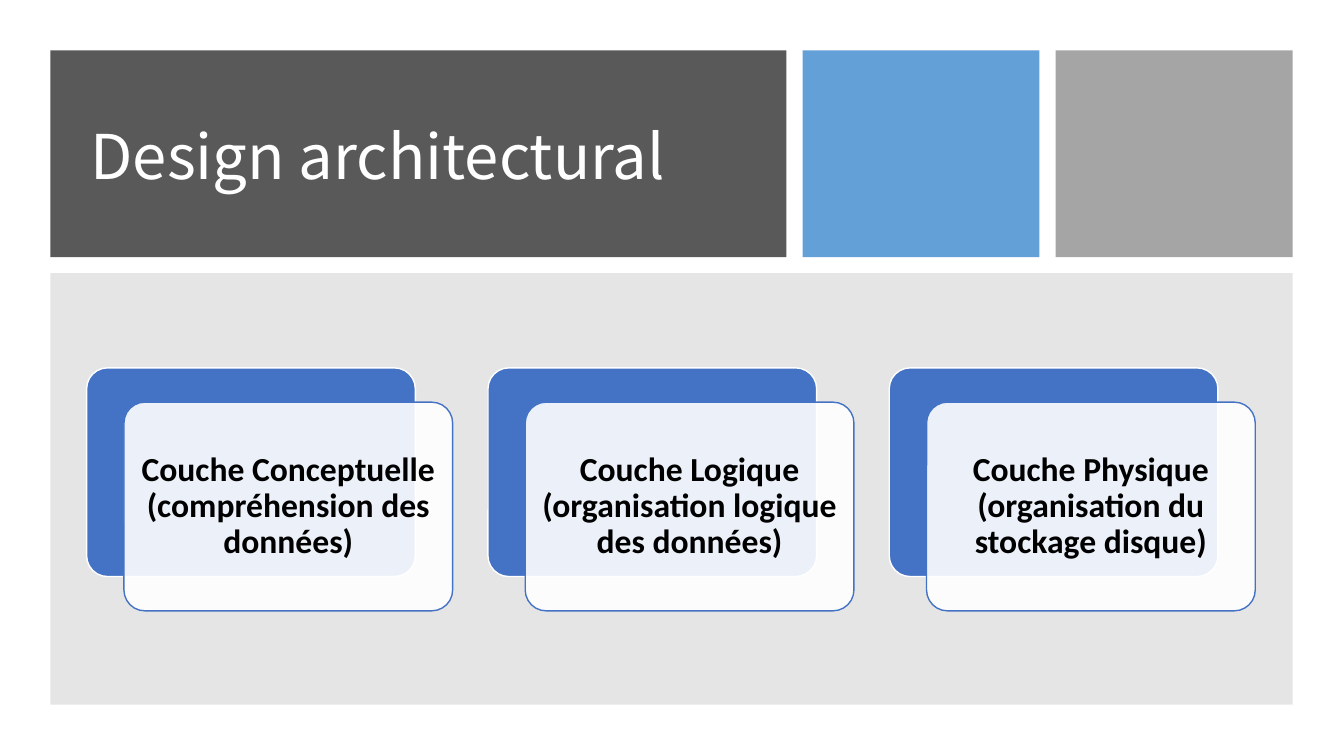
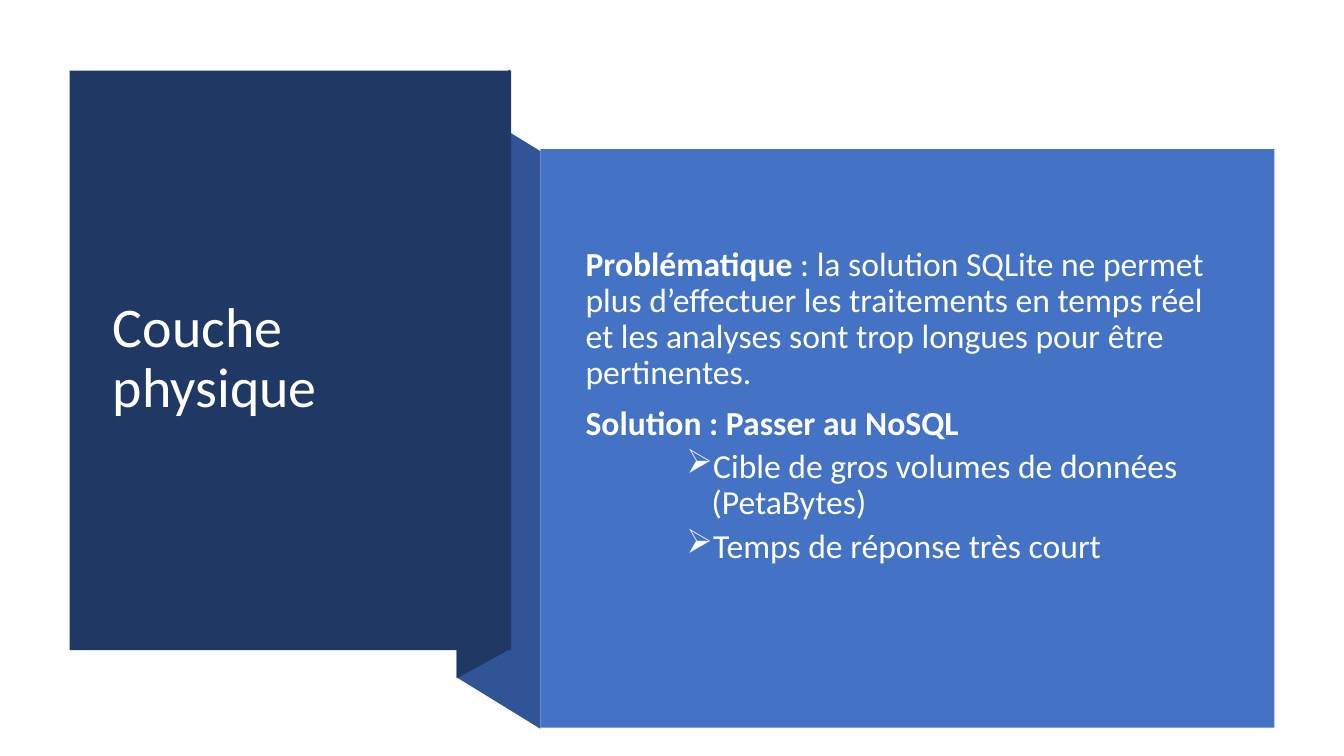
import pptx
import pptx.dml.color
import pptx.enum.shapes
import pptx.enum.text
import pptx.oxml.ns
import pptx.util
from lxml import etree

SHAPES = pptx.enum.shapes.MSO_SHAPE
ALIGN = pptx.enum.text.PP_ALIGN
PX = 9144

WHITE = "FFFFFF"
BODY_WHITE = "FEFFFF"
BLACK = "000000"
CHARCOAL = "595959"
SKY = "5B9BD5"
SILVER = "A5A5A5"
GRAY = "808080"
BLUE = "4472C4"
FOLD_BLUE = "2F5597"
NAVY = "203864"


def px(length):
    return pptx.util.Emu(length * PX)


def rgb(color):
    return pptx.dml.color.RGBColor.from_string(color)


def add_child(parent, tag, **attributes):
    return etree.SubElement(parent, pptx.oxml.ns.qn(tag), attributes)


class Designer:
    font = "Calibri"
    body_size = 24
    line_spacing = 0.9

    def __init__(self, width, height):
        self.deck = pptx.Presentation()
        self.deck.slide_width = px(width)
        self.deck.slide_height = px(height)
        self.slide = None

    def new_slide(self):
        self.slide = self.deck.slides.add_slide(self.deck.slide_layouts[6])

    def paint(self, shape, fill, opacity=100, line=None):
        shape.shadow.inherit = False
        shape.fill.solid()
        shape.fill.fore_color.rgb = rgb(fill)
        if opacity < 100:
            color = shape.element.spPr.find(
                "/".join(map(pptx.oxml.ns.qn, ("a:solidFill", "a:srgbClr"))))
            add_child(color, "a:alpha", val=str(opacity * 1000))
        if line:
            shape.line.color.rgb = rgb(line)
            shape.line.width = pptx.util.Pt(1)
        else:
            shape.line.fill.background()
        return shape

    def block(self, left, top, width, height, fill, opacity=100):
        shape = self.slide.shapes.add_shape(
            SHAPES.RECTANGLE, px(left), px(top), px(width), px(height))
        return self.paint(shape, fill, opacity)

    def card(self, left, top, width, height, fill, line, opacity=100):
        shape = self.slide.shapes.add_shape(
            SHAPES.ROUNDED_RECTANGLE, px(left), px(top), px(width), px(height))
        shape.adjustments[0] = 0.1
        return self.paint(shape, fill, opacity, line)

    def polygon(self, points, fill):
        builder = self.slide.shapes.build_freeform(*points[0], scale=PX)
        builder.add_line_segments(points[1:], close=True)
        return self.paint(builder.convert_to_shape(), fill)

    def text_box(self, left, top, width, height):
        box = self.slide.shapes.add_textbox(px(left), px(top), px(width), px(height))
        return self.prepare(box)

    def prepare(self, shape):
        frame = shape.text_frame
        frame.word_wrap = True
        frame.vertical_anchor = pptx.enum.text.MSO_ANCHOR.MIDDLE
        return frame

    def add_text(self, para, spans, color, size=body_size, font=font,
                 align=ALIGN.LEFT, before=0):
        para.alignment = align
        para.line_spacing = self.line_spacing
        para.space_before = pptx.util.Pt(before)
        for text, bold in spans:
            span = para.add_run()
            span.text = text
            span.font.name = font
            span.font.size = pptx.util.Pt(size)
            span.font.bold = bold
            span.font.color.rgb = rgb(color)

    def title(self, left, top, width, height, text, size, font=font):
        frame = self.text_box(left, top, width, height)
        self.add_text(frame.paragraphs[0], [(text, False)], WHITE, size, font)

    def bullet(self, para, char, left, hanging):
        para.level = 2
        properties = para._p.get_or_add_pPr()
        properties.set("marL", str(px(left)))
        properties.set("indent", str(-px(hanging)))
        add_child(properties, "a:buChar", char=char)


def architecture_slide(design):
    design.new_slide()
    design.block(50, 50, 730, 205, CHARCOAL)
    design.title(80, 80, 666, 156, "Design architectural", 44, "Noto Sans CJK SC")
    design.block(796, 50, 235, 205, SKY, 95)
    design.block(1047, 50, 235, 205, SILVER)
    design.block(50, 271, 1232, 428, GRAY, 20)

    layers = [
        "Couche Conceptuelle (compréhension des données)",
        "Couche Logique (organisation logique des données)",
        "Couche Physique (organisation du stockage disque)",
    ]
    width, height, pitch = 326, 207, 398
    for index, layer in enumerate(layers):
        left = 86 + index * pitch
        design.card(left, 365, width, height, BLUE, WHITE)
        front = design.card(left + 37, 399, width, height, WHITE, BLUE, 90)
        frame = design.prepare(front)
        frame.margin_left = frame.margin_right = px(10)
        frame.margin_top = frame.margin_bottom = px(10)
        design.add_text(frame.paragraphs[0], [(layer, True)], BLACK, align=ALIGN.CENTER)


def physical_slide(design):
    design.new_slide()
    design.polygon([(536, 723), (453, 672), (453, 99), (536, 150)], FOLD_BLUE)
    design.polygon([(506, 644), (453, 673), (453, 98), (506, 69)], NAVY)
    design.block(69, 70, 438, 575, NAVY)
    design.title(102, 107, 371, 499, "Couche physique", 40)
    design.block(536, 148, 728, 574, BLUE)

    frame = design.text_box(571, 188, 651, 430)
    statements = [
        [("Problématique ", True),
         (": la solution SQLite ne permet plus d’effectuer les traitements en temps "
          "réel et les analyses sont trop longues pour être pertinentes.", False)],
        [("Solution : Passer au NoSQL", True)],
    ]
    benefits = [
        "Cible de gros volumes de données (PetaBytes)",
        "Temps de réponse très court",
    ]
    para = frame.paragraphs[0]
    for spans in statements:
        design.add_text(para, spans, BODY_WHITE, before=10)
        para = frame.add_paragraph()
    for index, benefit in enumerate(benefits):
        if index:
            para = frame.add_paragraph()
        design.add_text(para, [(benefit, False)], BODY_WHITE, before=5)
        design.bullet(para, "➢", 125, 25)


def main():
    design = Designer(1333, 750)
    architecture_slide(design)
    physical_slide(design)
    design.deck.save("out.pptx")


if __name__ == "__main__":
    main()
